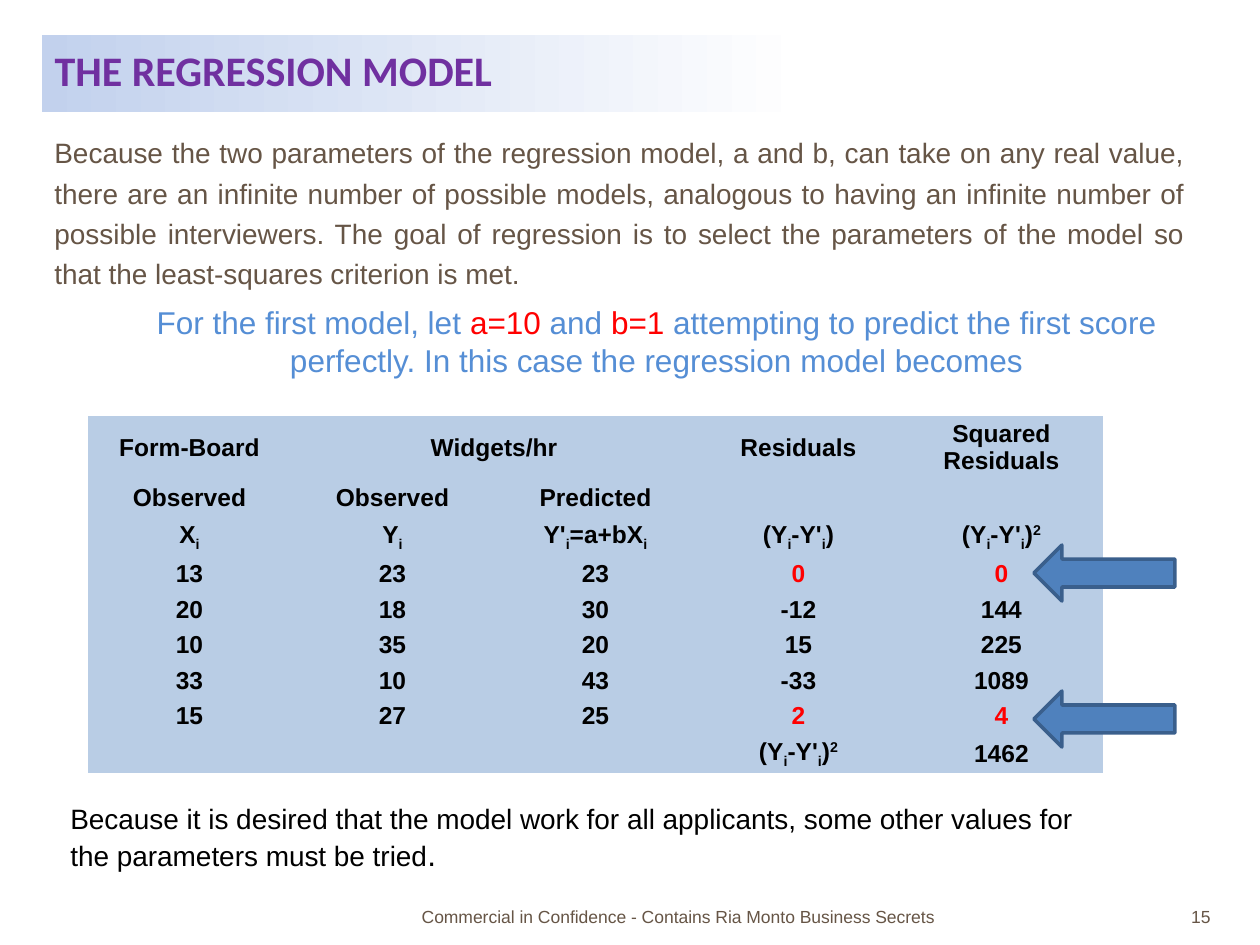
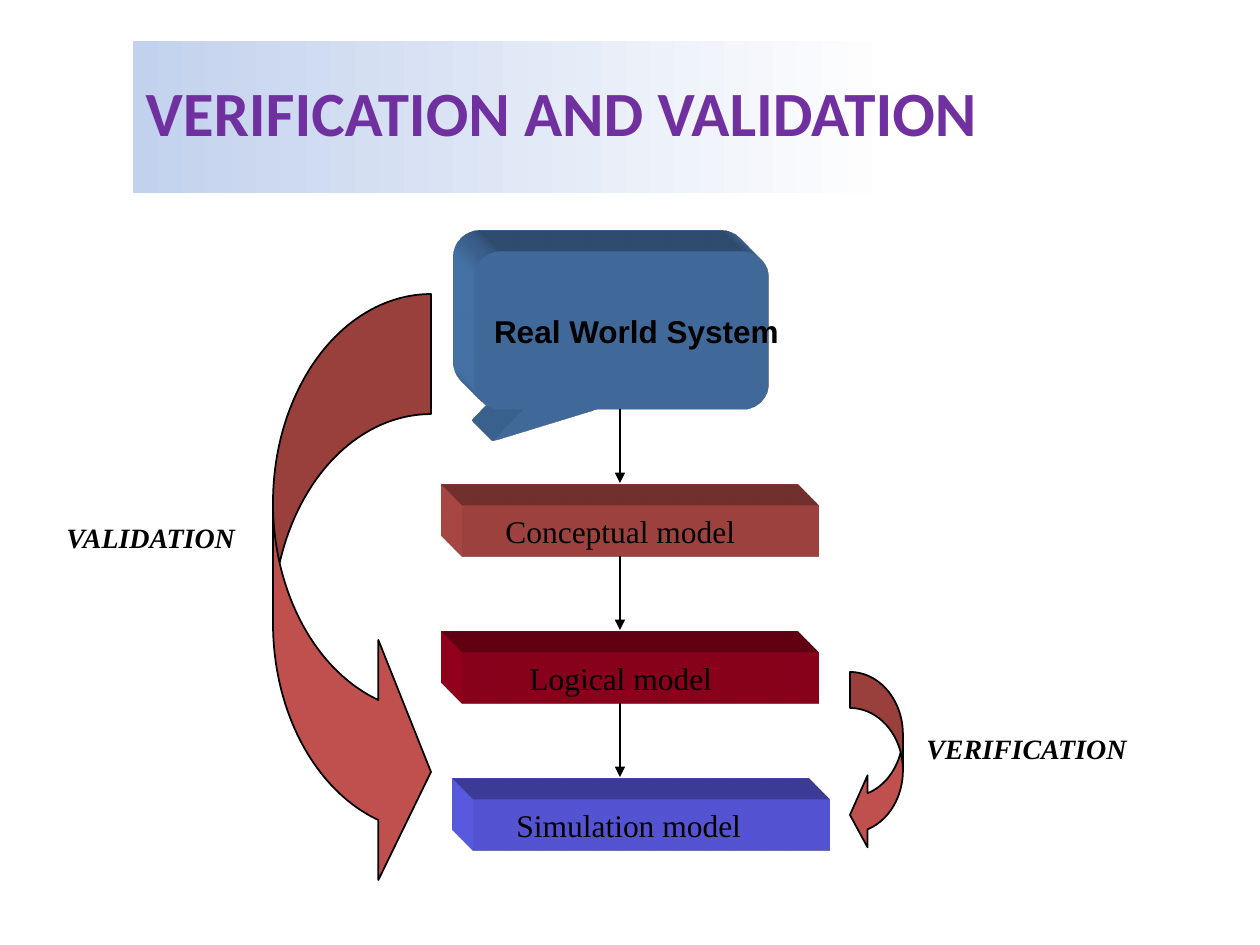
from lxml import etree
from pptx import Presentation
from pptx.dml.color import RGBColor
from pptx.enum.shapes import MSO_CONNECTOR, MSO_SHAPE
from pptx.enum.text import MSO_ANCHOR, MSO_AUTO_SIZE, PP_ALIGN
from pptx.oxml import parse_xml
from pptx.oxml.ns import nsdecls, qn
from pptx.util import Emu, Pt

LEFT, CENTER, RIGHT, JUSTIFY = PP_ALIGN.LEFT, PP_ALIGN.CENTER, PP_ALIGN.RIGHT, PP_ALIGN.JUSTIFY
TOP, MIDDLE = MSO_ANCHOR.TOP, MSO_ANCHOR.MIDDLE
NO_FIT = MSO_AUTO_SIZE.NONE
RECTANGLE, CALLOUT = MSO_SHAPE.RECTANGLE, MSO_SHAPE.ROUNDED_RECTANGULAR_CALLOUT
LEFT_ARROW = MSO_SHAPE.LEFT_ARROW
CURVED_RIGHT, CURVED_LEFT = MSO_SHAPE.CURVED_RIGHT_ARROW, MSO_SHAPE.CURVED_LEFT_ARROW
STRAIGHT = MSO_CONNECTOR.STRAIGHT

BLACK = RGBColor(0x00, 0x00, 0x00)
WHITE = RGBColor(0xFF, 0xFF, 0xFF)
RED = RGBColor(0xFF, 0x00, 0x00)
PURPLE = RGBColor(0x70, 0x30, 0xA0)
BROWN = RGBColor(0x66, 0x55, 0x46)
SKY = RGBColor(0x55, 0x8E, 0xD5)
BAND_BLUE = RGBColor(0xC2, 0xD1, 0xED)
TABLE_BLUE = RGBColor(0xB9, 0xCD, 0xE5)
BLUE = RGBColor(0x4F, 0x81, 0xBD)
DARK_BLUE = RGBColor(0x3A, 0x5F, 0x8C)
BRICK = RGBColor(0xC0, 0x50, 0x4D)
CRIMSON = RGBColor(0xA5, 0x00, 0x21)
VIOLET = RGBColor(0x66, 0x66, 0xFF)

PX = 914400 / 126
NO_STYLE_TABLE = "{2D5ABB26-0587-4C30-8999-92F81FD0307C}"

BODY = {"name": "Arial", "size": Pt(16), "color": BROWN}
FOOTER = {"name": "Arial", "size": Pt(10), "color": BROWN}
LEAD = {"name": "Arial", "size": Pt(18), "color": SKY}
CLOSING = {"name": "Arial", "size": Pt(16), "color": BLACK}
CELL = {"name": "Arial", "size": Pt(14), "color": BLACK, "bold": True}
SYSTEM = {"name": "Arial", "size": Pt(18), "color": BLACK, "bold": True}
MODEL = {"name": "Times New Roman", "size": Pt(18), "color": BLACK}
LOOP_LABEL = {"name": "Times New Roman", "size": Pt(16), "color": BLACK, "bold": True, "italic": True}


def px(*lengths):
    return [Emu(round(length * PX)) for length in lengths]


def write(frame, runs, style, align=LEFT, anchor=TOP, wrap=True):
    """Fill a text frame with (text, style changes) runs and return its paragraph."""
    frame.auto_size = NO_FIT
    frame.word_wrap = wrap
    frame.vertical_anchor = anchor
    paragraph = frame.paragraphs[0]
    paragraph.alignment = align
    for text, changes in runs:
        run = paragraph.add_run()
        run.text = text
        for key, value in {**style, **changes}.items():
            if key == "color":
                run.font.color.rgb = value
            else:
                setattr(run.font, key, value)
    return paragraph


prs = Presentation()
prs.slide_width, prs.slide_height = px(1260, 945)

# Title bands
slides = []
for heading, size, box in [
    ("THE REGRESSION MODEL", 24, (42, 35, 1091, 77)),
    ("VERIFICATION AND VALIDATION", 36, (133, 41, 1091, 152)),
]:
    slide = prs.slides.add_slide(prs.slide_layouts[5])
    title = slide.shapes.title
    title.left, title.top, title.width, title.height = px(*box)
    title.fill.gradient()
    title.fill.gradient_angle = 0
    for stop, color, position in zip(title.fill.gradient_stops, (BAND_BLUE, WHITE), (0, 0.7)):
        stop.color.rgb = color
        stop.position = position
    style = {"name": "Calibri", "size": Pt(size), "color": PURPLE, "bold": True}
    write(title.text_frame, [(heading, {})], style, anchor=MIDDLE).line_spacing = 0.85
    slides.append(slide)
regression, validation = slides

# Regression model: running text and footer
red = {"color": RED}
for box, runs, style, align, spacing in [
    ((42, 123, 1155, 173),
     [("Because the two parameters of the regression model, a and b, can take on any real value, "
       "there are an infinite number of possible models, analogous to having an infinite number of "
       "possible interviewers. The goal of regression is to select the parameters of the model so "
       "that the least-squares criterion is met.", {})], BODY, JUSTIFY, 1.2),
    ((1028, 900, 195, 34), [("15", {})], FOOTER, RIGHT, None),
    ((330, 900, 696, 48),
     [("Commercial in Confidence - Contains Ria Monto Business Secrets", {})], FOOTER, CENTER, None),
    ((87, 297, 1139, 89),
     [("For the first model, let ", {}), ("a=10", red), (" and ", {}), ("b=1", red),
      (" attempting to predict the first score perfectly. "
       "In this case the regression model becomes", {})], LEAD, CENTER, None),
    ((58, 795, 1047, 84),
     [("Because it is desired that the model work for all applicants, some other values for "
       "the parameters must be tried", {}), (".", {"size": Pt(18)})], CLOSING, LEFT, None),
]:
    note = regression.shapes.add_textbox(*px(*box))
    write(note.text_frame, runs, style, align).line_spacing = spacing

# Regression model: table, with _i for a subscript and ^2 for a superscript
SCORES = [
    ["Form-Board", "Widgets/hr", "", "Residuals", "Squared Residuals"],
    ["Observed", "Observed", "Predicted", "", ""],
    ["X_i", "Y_i", "Y'_i=a+bX_i", "(Y_i-Y'_i)", "(Y_i-Y'_i)^2"],
    ["13", "23", "23", "0", "0"],
    ["20", "18", "30", "-12", "144"],
    ["10", "35", "20", "15", "225"],
    ["33", "10", "43", "-33", "1089"],
    ["15", "27", "25", "2", "4"],
    ["", "", "", "(Y_i-Y'_i)^2", "1462"],
]
BASELINES = {"_": "-25000", "^": "30000"}
BEST_FITS = (3, 7)

frame = regression.shapes.add_table(len(SCORES), 5, *px(88, 416, 1015, 335))
frame._element.xpath(".//a:tableStyleId")[0].text = NO_STYLE_TABLE
table = frame.table
table.first_row = table.horz_banding = False
for column in table.columns:
    column.width = px(203)[0]
for r, values in enumerate(SCORES):
    table.rows[r].height = px(34 if r else 63)[0]
    for c, value in enumerate(values):
        cell = table.cell(r, c)
        cell.fill.solid()
        cell.fill.fore_color.rgb = TABLE_BLUE
        cell.vertical_anchor = MIDDLE
        for side in ("left", "right", "top", "bottom"):
            setattr(cell, f"margin_{side}", px(4)[0])
        paragraph = cell.text_frame.paragraphs[0]
        if not value:
            etree.SubElement(paragraph._p, qn("a:endParaRPr"), sz="1400")
            continue
        paragraph.alignment = CENTER
        for part in value.replace("_i", "|_i|").replace("^2", "|^2|").strip("|").split("|"):
            run = paragraph.add_run()
            run.text = part.lstrip("_^")
            run.font.name, run.font.size, run.font.bold = CELL["name"], CELL["size"], CELL["bold"]
            run.font.color.rgb = RED if r in BEST_FITS and c > 2 else CELL["color"]
            if part[0] in BASELINES:
                run.font._element.set("baseline", BASELINES[part[0]])
table.cell(0, 1).merge(table.cell(0, 2))

# Verification and validation: solid blocks
BOX_STEP = 147
blocks = [
    (RECTANGLE, (462, 506, 357, 51), BRICK, "Conceptual model", MODEL, 31),
    (RECTANGLE, (462, 506 + BOX_STEP, 357, 51), CRIMSON, "Logical model", MODEL, 55),
    (RECTANGLE, (473, 506 + 2 * BOX_STEP, 357, 51), VIOLET, "Simulation model", MODEL, 31),
    (CALLOUT, (474, 252, 294, 157), BLUE, "Real World System", SYSTEM, 0),
]
for kind, box, color, label, style, indent in blocks:
    block = validation.shapes.add_shape(kind, *px(*box))
    block.shadow.inherit = False
    block.fill.solid()
    block.fill.fore_color.rgb = color
    block.line.fill.background()
    is_callout = kind == CALLOUT
    if is_callout:
        for i, value in enumerate((-0.438, 0.7, 0.167)):
            block.adjustments[i] = value
    paragraph = write(block.text_frame, [(label, {})], style,
                      anchor=MIDDLE if is_callout else TOP, wrap=not is_callout)
    paragraph._p.get_or_add_pPr().set("marL", str(px(indent)[0]))
    for xml in (
        f'<a:scene3d {nsdecls("a")}><a:camera prst="legacyObliqueTopLeft"/>'
        '<a:lightRig rig="legacyFlat3" dir="b"/></a:scene3d>',
        f'<a:sp3d {nsdecls("a")} extrusionH="430200" prstMaterial="legacyMatte">'
        '<a:bevelT w="13500" h="13500" prst="angle"/><a:bevelB w="13500" h="13500" prst="angle"/>'
        f'<a:extrusionClr><a:srgbClr val="{color}"/></a:extrusionClr></a:sp3d>',
    ):
        block._element.spPr.append(parse_xml(xml))

# Verification and validation: steps from one model to the next
for i in range(3):
    start = 409 + i * BOX_STEP
    step = validation.shapes.add_connector(STRAIGHT, *px(620, start, 620, start + 74))
    step.line.color.rgb = BLACK
    step.line.width = Pt(1.5)
    etree.SubElement(step.line._get_or_add_ln(), qn("a:tailEnd"), type="triangle")
    etree.SubElement(step._element.spPr, qn("a:effectLst"))

# Block arrows on both slides
for slide, kind, box, color, outline, weight, adjustments in [
    (regression, LEFT_ARROW, (1034, 545, 141, 56), BLUE, DARK_BLUE, 2, ()),
    (regression, LEFT_ARROW, (1034, 691, 141, 56), BLUE, DARK_BLUE, 2, ()),
    (validation, CURVED_RIGHT, (273, 294, 158, 598), BRICK, BLACK, 1, (0.76, 1.52, 0.333)),
    (validation, CURVED_LEFT, (850, 672, 53, 179), BRICK, BLACK, 1, (0.68, 1.36, 0.333)),
]:
    arrow = slide.shapes.add_shape(kind, *px(*box))
    arrow.shadow.inherit = False
    arrow.fill.solid()
    arrow.fill.fore_color.rgb = color
    arrow.line.color.rgb = outline
    arrow.line.width = Pt(weight)
    for i, value in enumerate(adjustments):
        arrow.adjustments[i] = value

for label, box in [("VERIFICATION", (914, 725, 231, 47)), ("VALIDATION", (54, 514, 198, 47))]:
    loop_label = validation.shapes.add_textbox(*px(*box))
    write(loop_label.text_frame, [(label, {})], LOOP_LABEL, anchor=MIDDLE)

prs.save("out.pptx")
